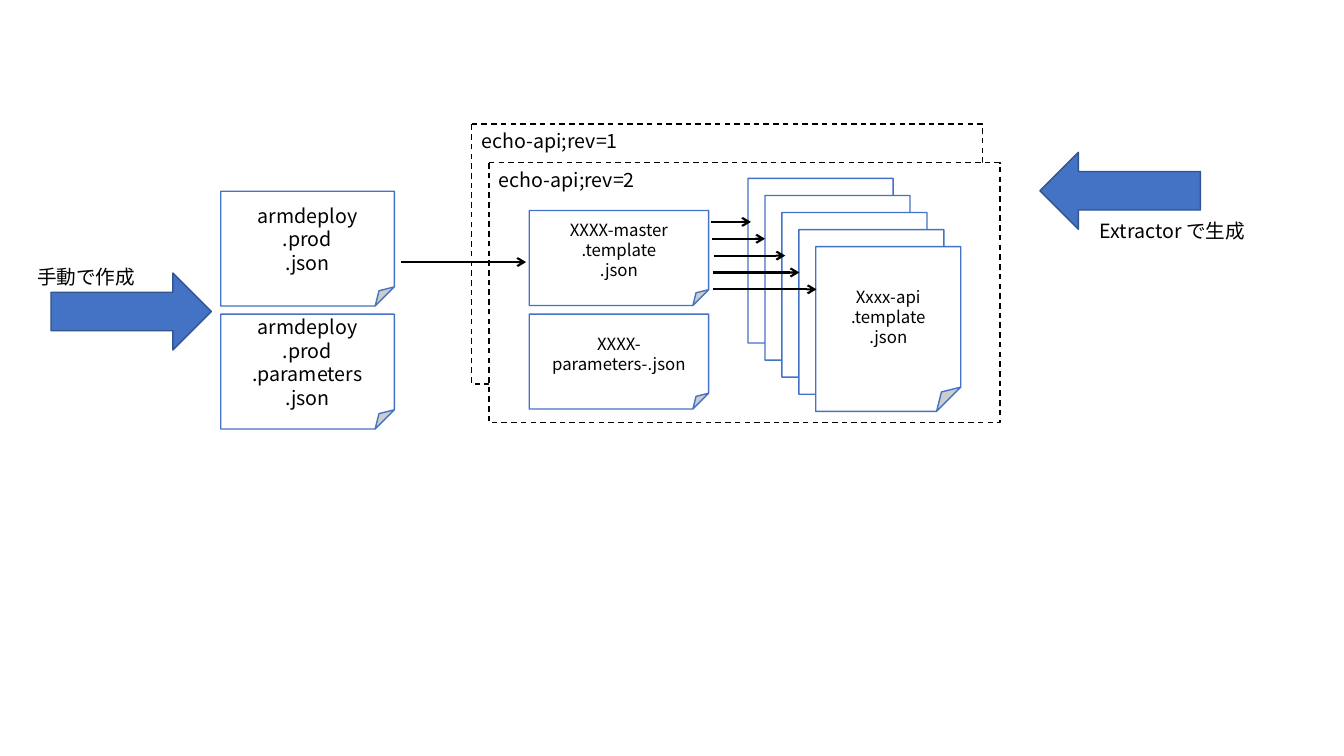
from pptx import Presentation
from pptx import util as u
from pptx.dml import color as col
from pptx.enum import dml, shapes, text
from pptx.oxml import ns, xmlchemy as xml

Pt = u.Pt
tint = col.RGBColor.from_string
face = "Noto Sans CJK JP"
kind = shapes.MSO_SHAPE
side = text.PP_ALIGN
hold = text.MSO_ANCHOR

deck = Presentation()
deck.slide_width, deck.slide_height = Pt(960), Pt(540)
slide = deck.slides.add_slide(deck.slide_layouts[6])


def draw(form, box, fill, edge):
    shape = slide.shapes.add_shape(form, *[Pt(n) for n in box])
    shape.shadow.inherit = False
    shape.fill.solid()
    shape.fill.fore_color.rgb = tint(fill)
    shape.line.color.rgb = tint(edge)
    shape.line.width = Pt(1)
    return shape


def write(shape, words, size, align, anchor):
    frame = shape.text_frame
    frame.word_wrap = True
    frame.vertical_anchor = anchor
    para = frame.paragraphs[0]
    para.alignment = align
    para.line_spacing = Pt(size * 1.2)
    for i, line in enumerate(words.split("\n")):
        if i:
            para.add_line_break()
        run = para.add_run()
        run.text = line
        run.font.size = Pt(size)
        run.font.name = face
        run.font.color.rgb = tint("000000")
        east = xml.OxmlElement("a:ea")
        east.set("typeface", face)
        run.font._element.find(ns.qn("a:latin")).addnext(east)


for i in range(2):
    group = draw(kind.ROUNDED_RECTANGLE,
                 (337 + 12.2 * i, 88.5 + 27.6 * i, 365, 185.8), "FFFFFF", "000000")
    group.adjustments[0] = 0
    group.line.dash_style = dml.MSO_LINE.DASH
    write(group, f"echo-api;rev={i + 1}", 14, side.LEFT, hold.TOP)

sheets = [
    ((157.7, 136.6, 124, 82), "armdeploy\n.prod\n.json", 14),
    ((157.7, 224.4, 124, 82), "armdeploy\n.prod\n.parameters\n.json", 14),
    ((378, 150.4, 128.2, 67.8), "XXXX-master\n.template\n.json", 12),
    ((378, 224.4, 128.2, 67.8), "XXXX-parameters-.json", 12),
]
for i in range(5):
    label = "Xxxx-api\n.template\n.json" if i == 4 else ""
    sheets.append(((534.3 + 12.1 * i, 127.4 + 12.2 * i, 103.6, 117.6), label, 12))
for box, label, size in sheets:
    sheet = draw(kind.FOLDED_CORNER, box, "FFFFFF", "4472C4")
    if label:
        write(sheet, label, size, side.CENTER, hold.MIDDLE)

spans = [(507.6, 536.4), (508.3, 546.5), (509.8, 560.9), (509, 571), (509, 583.2)]
links = [(a, b, 158.5 + 12.05 * i) for i, (a, b) in enumerate(spans)]
links.append((286.6, 375.8, 187.2))
for start, end, y in links:
    link = slide.shapes.add_connector(
        shapes.MSO_CONNECTOR.STRAIGHT, Pt(start), Pt(y), Pt(end), Pt(y))
    link.line.color.rgb = tint("000000")
    link.line.width = Pt(1.5)
    head = xml.OxmlElement("a:tailEnd")
    head.set("type", "arrow")
    link.line._get_or_add_ln().append(head)
    link._element.spPr.append(xml.OxmlElement("a:effectLst"))

for left, top, turn in [(772.6, 79, 90), (66.2, 165.2, 270)]:
    arrow = draw(kind.DOWN_ARROW, (left, top, 55, 114.6), "4472C4", "325491")
    arrow.rotation = turn

notes = [(778.3, 152.6, 147, "Extractor で生成"), (19.4, 185.8, 105, "手動で作成")]
for left, top, width, words in notes:
    note = slide.shapes.add_textbox(Pt(left), Pt(top), Pt(width), Pt(24.5))
    write(note, words, 14, side.LEFT, hold.TOP)

deck.save("out.pptx")
